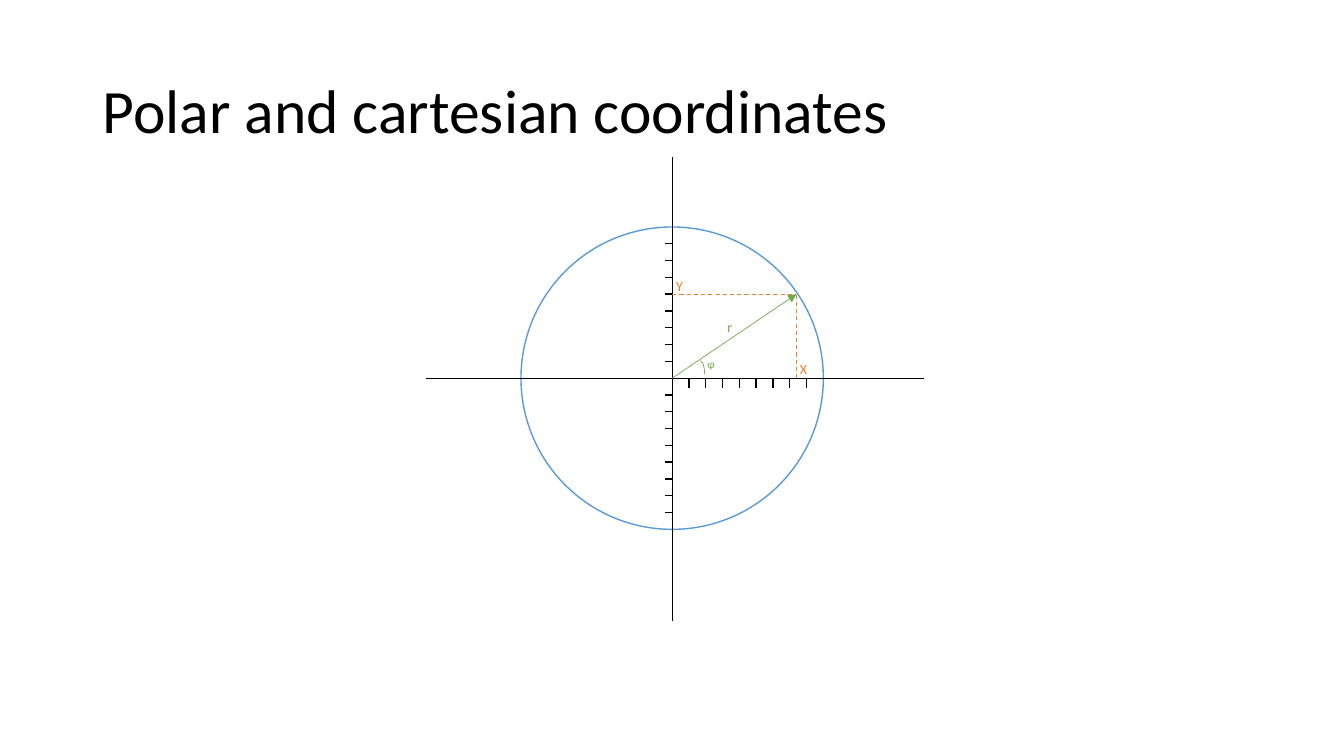
from pptx import Presentation, util as u
from pptx.dml.color import RGBColor
from pptx.enum import dml, shapes, text
from pptx.oxml.xmlchemy import OxmlElement

BLACK, BLUE, ORANGE, GREEN = "000000", "5B9BD5", "ED7D31", "70AD47"


def color(code):
    return RGBColor.from_string(code)


def write(frame, words, size=10, ink=BLACK, font="Calibri", gap=1.0):
    par = frame.paragraphs[0]
    par.line_spacing = gap
    run = par.add_run()
    run.text = words
    run.font.size = u.Pt(size)
    run.font.name = font
    run.font.color.rgb = color(ink)


class Board:
    """Holds the slide and draws on it; all lengths are in centimetres."""

    def __init__(self, slide):
        self.items = slide.shapes

    def pen(self, line, ink, width):
        line.color.rgb = color(ink)
        line.width = u.Pt(width)

    def line(self, x1, y1, x2, y2, ink=BLACK, width=1, dash=False, arrow=False):
        item = self.items.add_connector(
            shapes.MSO_CONNECTOR.STRAIGHT, *map(u.Cm, (x1, y1, x2, y2)))
        self.pen(item.line, ink, width)
        if dash:
            item.line.dash_style = dml.MSO_LINE.DASH
        if arrow:
            head = OxmlElement("a:tailEnd")
            head.set("type", "triangle")
            item.line._get_or_add_ln().append(head)
        item._element.spPr.append(OxmlElement("a:effectLst"))

    def shape(self, kind, x, y, w, h, ink, width=1, fill=None):
        item = self.items.add_shape(kind, *map(u.Cm, (x, y, w, h)))
        item.shadow.inherit = False
        self.pen(item.line, ink, width)
        if fill:
            item.fill.solid()
            item.fill.fore_color.rgb = color(fill)
        else:
            item.fill.background()

    def label(self, words, x, y, w, h, wrap=True,
              anchor=text.MSO_ANCHOR.TOP, **style):
        frame = self.items.add_textbox(*map(u.Cm, (x, y, w, h))).text_frame
        frame.word_wrap = wrap
        frame.vertical_anchor = anchor
        write(frame, words, **style)


def main():
    deck = Presentation()
    deck.slide_width, deck.slide_height = u.Cm(33.87), u.Cm(19.05)
    board = Board(deck.slides.add_slide(deck.slide_layouts[6]))

    # Title
    board.label("Polar and cartesian coordinates", 2.34, 1.02, 29.21, 3.68,
                anchor=text.MSO_ANCHOR.MIDDLE, size=44, gap=0.9)

    # Circle and axes
    mid_x, mid_y, radius = 16.94, 9.53, 3.81
    board.shape(shapes.MSO_SHAPE.OVAL, mid_x - radius, mid_y - radius,
                2 * radius, 2 * radius, BLUE, fill="FFFFFF")
    board.line(mid_x, 3.96, mid_x, 15.65)
    board.line(10.74, mid_y, 23.29, mid_y)

    # Ticks: both ways on the vertical axis, to the right on the other
    step = radius / 9
    for i in range(1, 9):
        for y in (mid_y - i * step, mid_y + i * step):
            board.line(mid_x, y, mid_x - 0.19, y)
        x = mid_x + i * step
        board.line(x, mid_y + 0.25, x, mid_y)

    # Point with its coordinates, radius and angle
    end_x, end_y = 20.07, mid_y - 5 * step
    board.line(mid_x, end_y, end_x, end_y, ORANGE, 0.75, dash=True)
    board.line(end_x, mid_y, end_x, end_y, ORANGE, 0.75, dash=True)
    board.line(mid_x, mid_y, end_x, end_y, GREEN, 0.5, arrow=True)
    board.shape(shapes.MSO_SHAPE.ARC, 17.53, 9.09, 0.23, 0.69, GREEN, 0.5)

    # Labels
    board.label("Y", 16.79, 6.86, 0.76, 0.69, ink=ORANGE)
    board.label("X", 19.91, 8.97, 0.71, 0.69, wrap=False, ink=ORANGE)
    board.label("r", 18.08, 7.9, 0.76, 0.69, ink=GREEN)
    board.label("φ", 17.58, 8.89, 0.58, 0.61, ink=GREEN, size=8)

    deck.save("out.pptx")


if __name__ == "__main__":
    main()
